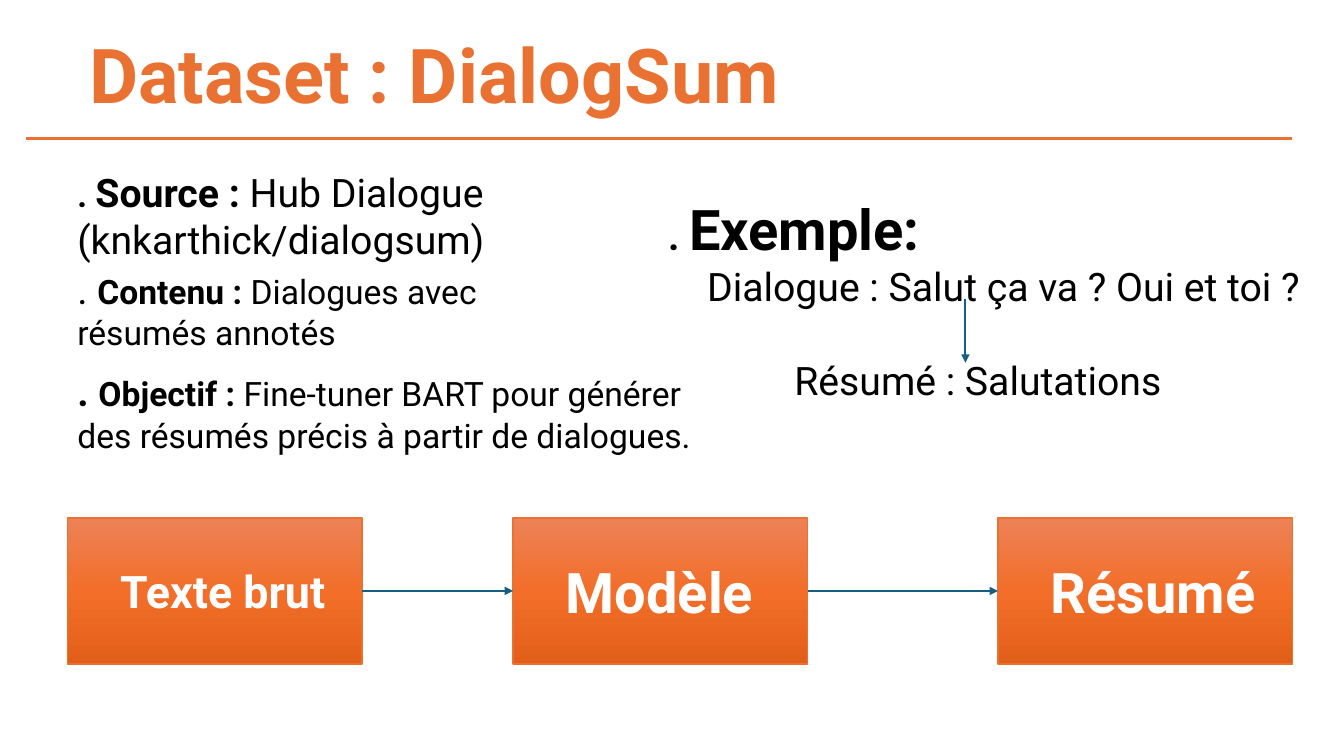
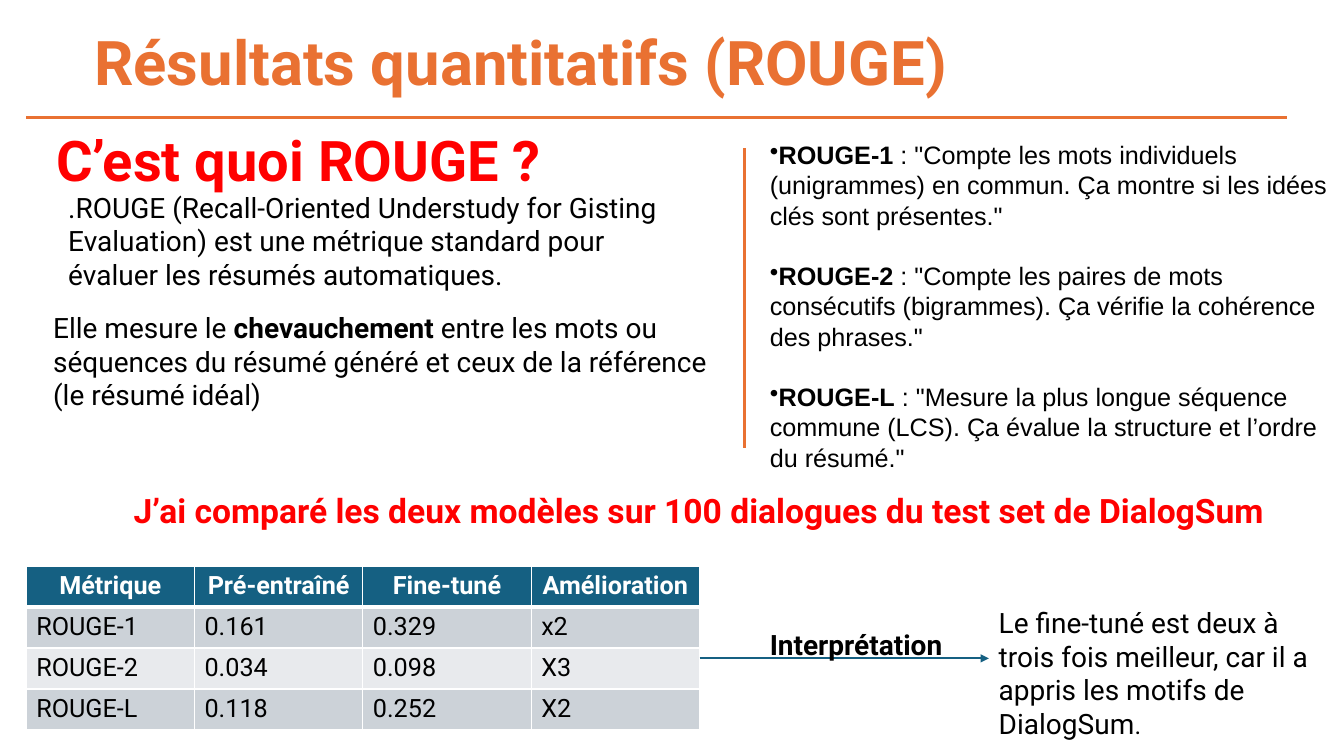
"""Build two slides on the DialogSum data set and its ROUGE results."""
from copy import deepcopy

from pptx import Presentation, util as u
from pptx.dml.color import RGBColor
from pptx.enum import shapes, text
from pptx.oxml import ns, xmlchemy

ORANGE, BLUE, RED, BLACK, WHITE = "E97132", "156082", "FF0000", "000000", "FFFFFF"
GRADIENT = ((0, "ED8257"), (0.5, "F26E29"), (1, "E25F1A"))
BANDS = ("CCD2D8", "E8EAED")
TOP, MIDDLE = text.MSO_ANCHOR.TOP, text.MSO_ANCHOR.MIDDLE
LEFT, CENTER = text.PP_ALIGN.LEFT, text.PP_ALIGN.CENTER


def rgb(value):
    """Turn a hex string into a colour."""
    return RGBColor.from_string(value)


def cm(box):
    """Turn a sequence of centimetres into lengths."""
    return [u.Cm(v) for v in box]


def element(tag, **attrs):
    """Make a drawing element with the given attributes."""
    el = xmlchemy.OxmlElement(tag)
    for key, value in attrs.items():
        el.set(key, str(value))
    return el


def set_all(obj, values):
    """Set attributes of an object from a dict."""
    for key, value in values.items():
        setattr(obj, key, value)


def add_runs(p, runs, color=BLACK, font="Roboto", indent=0, bullet=None, **fmt):
    """Fill a paragraph with (text, size, bold) runs."""
    set_all(p, {"alignment": LEFT, **fmt})
    pPr = p._p.get_or_add_pPr()
    pPr.set("marL", str(u.Cm(indent)))
    pPr.set("indent", "0")
    if bullet:
        pPr.append(element("a:buChar", char=bullet))
    for content, size, bold in runs:
        r = p.add_run()
        r.text = content
        set_all(r.font, {"name": font, "size": u.Pt(size), "bold": bold})
        r.font.color.rgb = rgb(color)


def fill_frame(tf, paragraphs, anchor=TOP):
    """Write paragraphs, each a (runs, format) pair, into a text frame."""
    set_all(tf, {"word_wrap": True, "vertical_anchor": anchor})
    for i, (runs, fmt) in enumerate(paragraphs):
        p = tf.add_paragraph() if i else tf.paragraphs[0]
        add_runs(p, runs, **fmt)


def text_box(s, box, paragraphs, anchor=TOP):
    """Add a text box of several paragraphs."""
    fill_frame(s.shapes.add_textbox(*cm(box)).text_frame, paragraphs, anchor)


def note(s, box, *runs, **fmt):
    """Add a text box of one paragraph."""
    text_box(s, box, [(runs, fmt)])


def line(s, ends, color=ORANGE, width=2, arrow=False):
    """Add a straight line, with an arrowhead if asked."""
    c = s.shapes.add_connector(shapes.MSO_CONNECTOR.STRAIGHT, *cm(ends))
    c.line.color.rgb = rgb(color)
    c.line.width = u.Pt(width)
    if arrow:
        c.line._get_or_add_ln().append(element("a:tailEnd", type="triangle"))
    c._element.spPr.append(element("a:effectLst"))


def arrow(s, ends):
    """Add a blue arrow."""
    line(s, ends, BLUE, 1.5, True)


def header(s, title, left, top, size, rule_y, rule_end):
    """Add the slide title and the rule below it."""
    fmt = {"color": ORANGE, "line_spacing": 0.9}
    text_box(s, (left, top, 29.21, 3.68), [([(title, size, True)], fmt)], MIDDLE)
    line(s, (0.66, rule_y, rule_end, rule_y))


def example(s, box):
    """Add the sample dialogue with an arrow to its summary."""
    text_box(s, box, [
        ([(". ", 28, True), ("Exemple:", 40, True)], {}),
        ([("Dialogue : Salut ça va ? Oui et toi ?", 28, False)], {"indent": 0.98}),
        ([("Résumé : Salutations", 28, False)],
         {"indent": 3.18, "space_before": u.Pt(33.6)}),
    ])
    x, y = box[0] + 7.74, box[1] + 2.76
    arrow(s, (x, y, x, y + 1.6))


def stage(s, box, label, size):
    """Add one gradient box of the flow."""
    sp = s.shapes.add_shape(shapes.MSO_SHAPE.RECTANGLE, *cm(box))
    sp.shadow.inherit = False
    sp.fill.gradient()
    sp.fill.gradient_angle = 270
    stops = sp._element.spPr.find(".//" + ns.qn("a:gsLst"))
    stops.insert(1, deepcopy(stops[0]))
    for stop, (position, color) in zip(sp.fill.gradient_stops, GRADIENT):
        stop.position = position
        stop.color.rgb = rgb(color)
    sp.line.color.rgb = rgb(ORANGE)
    sp.line.width = u.Pt(1)
    fmt = {"color": WHITE, "indent": 1.08}
    fill_frame(sp.text_frame, [([(label, size, True)], fmt)], MIDDLE)


def flow(s, top, height, width, stages):
    """Add a row of stages joined by arrows."""
    middle = top + height / 2
    for left, label, size in stages:
        stage(s, (left, top, width, height), label, size)
    for (left, *_), (right, *_) in zip(stages, stages[1:]):
        arrow(s, (left + width, middle, right, middle))


def borders(cell, widths):
    """Give a cell white borders, widths in points by side."""
    tcPr = cell._tc.get_or_add_tcPr()
    for i, (side, width) in enumerate(widths.items()):
        ln = element("a:ln" + side, w=u.Pt(width))
        solid = element("a:solidFill")
        solid.append(element("a:srgbClr", val=WHITE))
        ln.append(solid)
        tcPr.insert(i, ln)


def score_table(s, box, rows):
    """Add the table of scores with a blue head and grey bands."""
    tbl = s.shapes.add_table(len(rows), len(rows[0]), *cm(box)).table
    for i, row in enumerate(rows):
        tbl.rows[i].height = u.Cm(box[3] / len(rows))
        head = i == 0
        for j, value in enumerate(row):
            cell = tbl.cell(i, j)
            cell.fill.solid()
            cell.fill.fore_color.rgb = rgb(BLUE if head else BANDS[(i - 1) % 2])
            borders(cell, {"L": 1, "R": 1, "T": 3 if i == 1 else 1, "B": 3 if head else 1})
            add_runs(cell.text_frame.paragraphs[0], [(value, 18, head)],
                     color=WHITE if head else BLACK, alignment=CENTER if head else LEFT)


def score_list(s, box, items):
    """Add the bulleted meanings of the scores beside a vertical rule."""
    x, y = box[0] - 0.38, box[1] + 0.38
    line(s, (x, y, x, y + 7.57))
    text_box(s, box, [
        ([(name, 18, True), (f' : "{meaning}"', 18, False)],
         {"font": "Arial", "bullet": "•", "space_before": u.Pt(21.6 if i else 0)})
        for i, (name, meaning) in enumerate(items)], MIDDLE)


def dataset_slide(s):
    """Build the slide on the data set."""
    header(s, "Dataset : DialogSum", 2, 0.15, 54, 3.48, 32.56)
    note(s, (1.7, 4.11, 17.12, 2.64), (". ", 24, True), ("Source : ", 28, True),
         ("Hub Dialogue (knkarthick/dialogsum)", 28, False))
    note(s, (1.7, 6.55, 12.83, 3.68), (". ", 28, False), ("Contenu : ", 24, True),
         ("Dialogues avec résumés annotés", 24, False))
    note(s, (1.7, 9.14, 16.69, 3.68), (". ", 28, True), ("Objectif : ", 24, True),
         ("Fine-tuner BART pour générer des résumés précis à partir de dialogues.", 24, False))
    example(s, (16.59, 4.78, 16.69, 5.56))
    flow(s, 13.05, 3.68, 7.42, [
        (1.7, "Texte brut", 32), (12.93, "Modèle", 40), (25.15, "Résumé", 40)])


def results_slide(s):
    """Build the slide on the ROUGE results."""
    header(s, "Résultats quantitatifs (ROUGE)", 2.13, -0.18, 44, 2.97, 32.44)
    note(s, (1.17, 3.05, 13.1, 1.96), ("C’est quoi ROUGE ?", 40, True), color=RED)
    note(s, (1.47, 4.67, 15.72, 2.82),
         (".ROUGE (Recall-Oriented Understudy for Gisting Evaluation) est une métrique "
          "standard pour évaluer les résumés automatiques.", 20, False))
    note(s, (1.09, 7.7, 17.68, 2.82), ("Elle mesure le ", 20, False),
         ("chevauchement", 20, True),
         (" entre les mots ou séquences du résumé généré et ceux de la référence "
          "(le résumé idéal)", 20, False))
    score_list(s, (19.15, 3.35, 14.71, 8.71), [
        ("ROUGE-1", "Compte les mots individuels (unigrammes) en commun. "
                    "Ça montre si les idées clés sont présentes."),
        ("ROUGE-2", "Compte les paires de mots consécutifs (bigrammes). "
                    "Ça vérifie la cohérence des phrases."),
        ("ROUGE-L", "Mesure la plus longue séquence commune (LCS). "
                    "Ça évalue la structure et l’ordre du résumé."),
    ])
    note(s, (3.12, 12.22, 29.69, 2.06),
         ("J’ai comparé les deux modèles sur 100 dialogues du test set de DialogSum", 24, True),
         color=RED)
    score_table(s, (0.66, 14.27, 16.97, 4.12), [
        ("Métrique", "Pré-entraîné", "Fine-tuné", "Amélioration"),
        ("ROUGE-1", "0.161", "0.329", "x2"),
        ("ROUGE-2", "0.034", "0.098", "X3"),
        ("ROUGE-L", "0.118", "0.252", "X2"),
    ])
    arrow(s, (17.63, 16.59, 24.92, 16.59))
    note(s, (19.15, 15.7, 5.03, 1.12), ("Interprétation", 20, True))
    note(s, (24.92, 15.14, 8.46, 4.45),
         ("Le fine-tuné est deux à trois fois meilleur, car il a appris les motifs "
          "de DialogSum", 20, False), (".", 18, False))


def main():
    """Build and save the presentation."""
    prs = Presentation()
    set_all(prs, {"slide_width": u.Cm(33.87), "slide_height": u.Cm(19.05)})
    for build in (dataset_slide, results_slide):
        build(prs.slides.add_slide(prs.slide_layouts[6]))
    prs.save("out.pptx")


if __name__ == "__main__":
    main()
